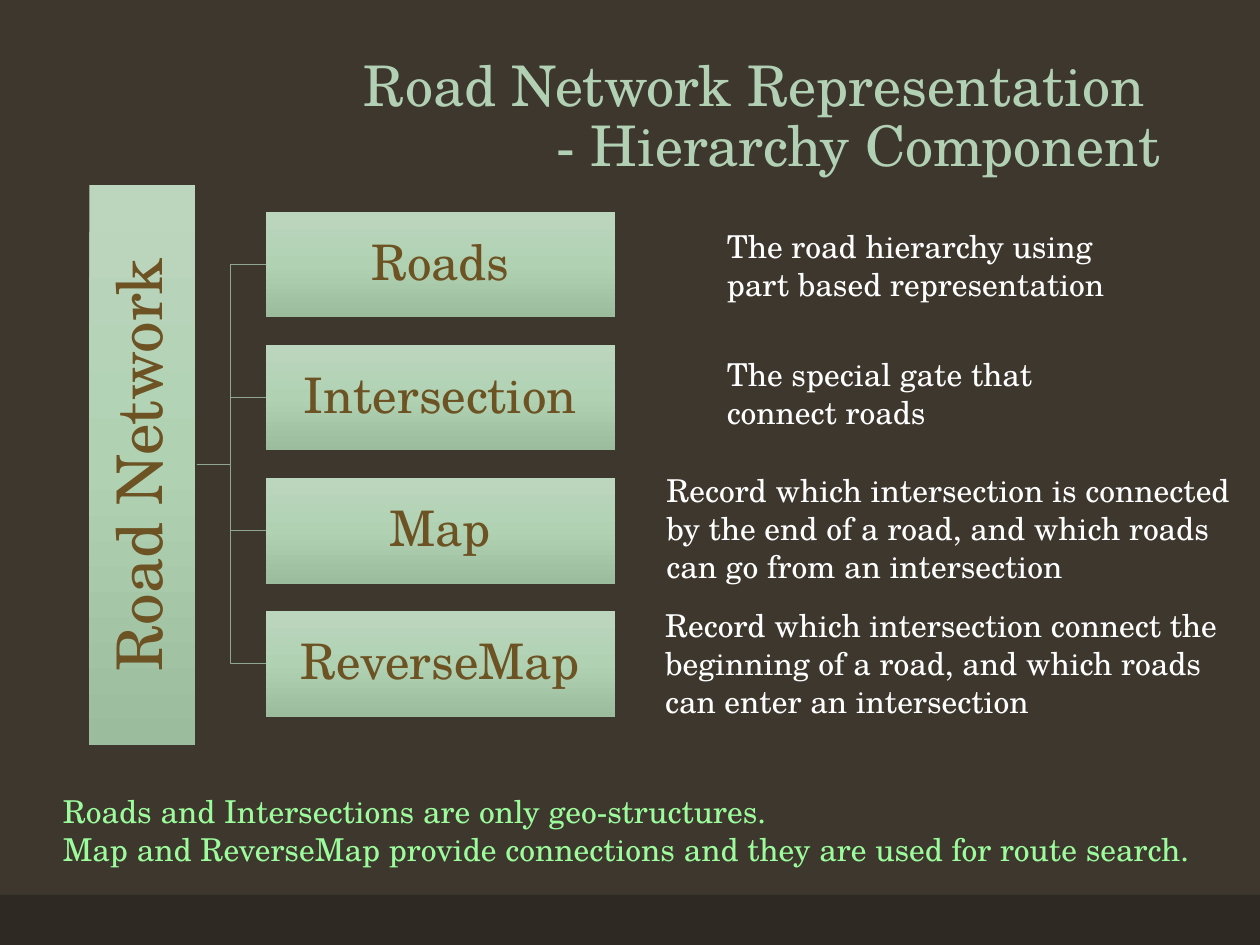
from copy import deepcopy
from pptx import Presentation
from pptx.dml.color import RGBColor
from pptx.enum.shapes import MSO_SHAPE
from pptx.enum.text import MSO_ANCHOR, PP_ALIGN
from pptx.oxml.ns import qn
from pptx.util import Inches, Pt

FONT = "TeX Gyre Schola"
COLORS = {
    "background": "3D372E", "footer": "2E2923", "title": "B2D0B4",
    "branch": "8FA790", "box text": "6D5223", "description": "FFFFFF",
    "summary": "9CFC9C",
}
GRADIENT = [(0, "BCD6BE"), (0.5, "B0D2B3"), (1, "9BBC9D")]


def write(shape, text, size, color, align=PP_ALIGN.LEFT, anchor=MSO_ANCHOR.TOP,
          spacing=None, wrap=True):
    frame = shape.text_frame
    frame.text = text
    frame.word_wrap = wrap
    frame.vertical_anchor = anchor
    for paragraph in frame.paragraphs:
        paragraph.alignment = align
        paragraph.line_spacing = spacing
        for run in paragraph.runs:
            run.font.size = Pt(size)
            run.font.name = FONT
            run.font.color.rgb = RGBColor.from_string(COLORS[color])


def add_box(left, top, width, height, text, size, margin, rotation=0):
    box = slide.shapes.add_shape(MSO_SHAPE.RECTANGLE, Inches(left), Inches(top),
                                 Inches(width), Inches(height))
    box.shadow.inherit = False
    box.rotation = rotation
    box.line.fill.background()
    box.fill.gradient()
    box.fill.gradient_angle = 270
    # The gradient runs down the slide even when the box is turned
    grad_fill = box._element.spPr.find(qn("a:gradFill"))
    grad_fill.set("rotWithShape", "0")
    stop_list = grad_fill.find(qn("a:gsLst"))
    stop_list.insert(1, deepcopy(stop_list[0]))
    for stop, (position, color) in zip(box.fill.gradient_stops, GRADIENT):
        stop.position = position
        stop.color.rgb = RGBColor.from_string(color)
    frame = box.text_frame
    frame.margin_left = frame.margin_right = Inches(margin)
    frame.margin_top = frame.margin_bottom = Inches(margin)
    write(box, text, size, "box text", PP_ALIGN.CENTER, MSO_ANCHOR.MIDDLE, 0.9)


prs = Presentation()
prs.slide_width, prs.slide_height = Inches(10), Inches(7.5)
slide = prs.slides.add_slide(prs.slide_layouts[6])
slide.background.fill.solid()
slide.background.fill.fore_color.rgb = RGBColor.from_string(COLORS["background"])

# Footer band
footer = slide.shapes.add_shape(MSO_SHAPE.RECTANGLE, 0, Inches(7.1), Inches(10), Inches(0.4))
footer.shadow.inherit = False
footer.fill.solid()
footer.fill.fore_color.rgb = RGBColor.from_string(COLORS["footer"])
footer.line.fill.background()

# Title
title = slide.shapes.add_textbox(Inches(0.69), 0, Inches(8.62), Inches(1.47))
write(title, "Road Network Representation \v- Hierarchy Component", 32, "title",
      PP_ALIGN.RIGHT, MSO_ANCHOR.BOTTOM, 0.9)

# Hierarchy: branches first, then the root and its components
components = ["Roads", "Intersection", "Map", "ReverseMap"]
box_height, first_top, pitch = 0.84, 1.68, 1.056
root_right, bend, component_left, root_middle = 1.56, 1.83, 2.11, 3.69
tops = [first_top + i * pitch for i in range(len(components))]

for top in reversed(tops):
    middle = top + box_height / 2
    builder = slide.shapes.build_freeform(Inches(root_right), Inches(root_middle))
    builder.add_line_segments(
        [(Inches(x), Inches(y)) for x, y in
         [(bend, root_middle), (bend, middle), (component_left, middle)]], close=False)
    branch = builder.convert_to_shape()
    branch.shadow.inherit = False
    branch.fill.background()
    branch.line.color.rgb = RGBColor.from_string(COLORS["branch"])
    branch.line.width = Pt(0.5)

add_box(-1.09, 3.27, 4.44, box_height, "Road Network", 36, 0.03, rotation=270)
for top, component in zip(tops, components):
    add_box(component_left, top, 2.77, box_height, component, 28, 0.02)

# Description of each component
descriptions = [
    (5.67, 1.75, 3.37, 0.71, "The road hierarchy using part based representation"),
    (5.67, 2.77, 3.37, 0.71, "The special gate that connect roads"),
    (5.19, 3.69, 4.83, 1.01, "Record which intersection is connected by the end of a road, "
                             "and which roads can go from an intersection"),
    (5.18, 4.76, 4.81, 1.01, "Record which intersection connect the beginning of a road, "
                             "and which roads can enter an intersection"),
]
for left, top, width, height, text in descriptions:
    description = slide.shapes.add_textbox(Inches(left), Inches(top),
                                           Inches(width), Inches(height))
    write(description, text, 18, "description")

# Summary
summary = slide.shapes.add_textbox(Inches(0.4), Inches(6.24), Inches(9.2), Inches(0.71))
write(summary, "Roads and Intersections are only geo-structures.\n"
      "Map and ReverseMap provide connections and they are used for route search.",
      18, "summary", wrap=False)

prs.save("out.pptx")
